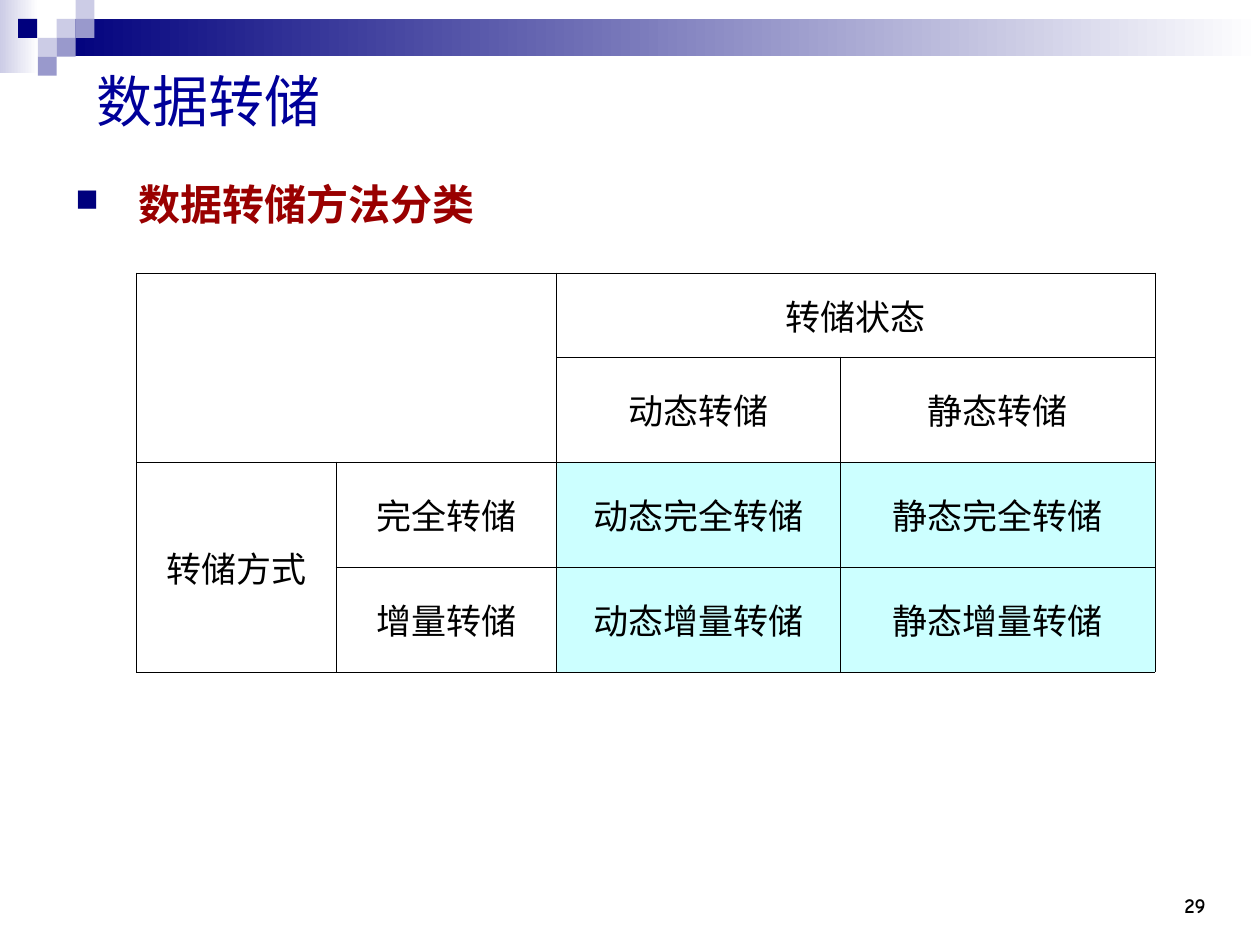
from lxml.etree import SubElement
from pptx import Presentation
from pptx.dml.color import RGBColor
from pptx.enum.shapes import MSO_SHAPE as Shape
from pptx.enum.text import MSO_ANCHOR as Anchor, PP_ALIGN as Align
from pptx.oxml.ns import qn
from pptx.util import Pt

NAVY = RGBColor(0x00, 0x00, 0x7D)
LILAC = RGBColor(0xCC, 0xCC, 0xE6)
VIOLET = RGBColor(0x99, 0x99, 0xCC)
WHITE = RGBColor(0xFF, 0xFF, 0xFF)
BLACK = RGBColor(0x00, 0x00, 0x00)
TITLE_BLUE = RGBColor(0x00, 0x00, 0x99)
DARK_RED = RGBColor(0x99, 0x00, 0x00)
PALE_CYAN = RGBColor(0xCC, 0xFF, 0xFF)
CJK_FONT = "Noto Sans CJK SC"


def write(frame, text, size, color=BLACK, font=CJK_FONT, bold=False,
          align=Align.LEFT, anchor=Anchor.MIDDLE):
    frame.word_wrap = True
    frame.vertical_anchor = anchor
    paragraph = frame.paragraphs[0]
    paragraph.alignment = align
    run = paragraph.add_run()
    run.text = text
    run.font.size = Pt(size)
    run.font.bold = bold
    run.font.color.rgb = color
    run.font.name = font
    SubElement(run._r.get_or_add_rPr(), qn("a:ea"), typeface=CJK_FONT)
    return paragraph


def add_block(left, top, width, height, color, fade=False):
    block = slide.shapes.add_shape(Shape.RECTANGLE, Pt(left), Pt(top), Pt(width), Pt(height))
    block.shadow.inherit = False
    block.line.fill.background()
    if fade:
        block.fill.gradient()
        block.fill.gradient_angle = 0
        for stop, shade in zip(block.fill.gradient_stops, (color, WHITE)):
            stop.color.rgb = shade
    else:
        block.fill.solid()
        block.fill.fore_color.rgb = color


deck = Presentation()
deck.slide_width, deck.slide_height = Pt(720), Pt(540)
slide = deck.slides.add_slide(deck.slide_layouts[5])

add_block(0, 0, 22, 41.6, LILAC, fade=True)
add_block(32.4, 10.8, 687.6, 21.4, NAVY, fade=True)
SQUARE = 10.8
for left, row, color in [
    (32.4, 1, LILAC), (43.2, 0, LILAC), (43.2, 1, VIOLET), (21.6, 2, LILAC),
    (10.4, 1, NAVY), (32.4, 2, VIOLET), (21.6, 3, VIOLET),
]:
    add_block(left, row * SQUARE, SQUARE, SQUARE, color)

page_number = slide.shapes.add_textbox(Pt(636), Pt(492), Pt(60), Pt(36))
write(page_number.text_frame, "29", 12, font="Comic Neue", bold=True,
      align=Align.RIGHT, anchor=Anchor.BOTTOM)

title = slide.shapes.title
title.left, title.top, title.width, title.height = Pt(48), Pt(30), Pt(648), Pt(54)
write(title.text_frame, "数据转储", 32, color=TITLE_BLUE, font="Comic Neue")

heading_box = slide.shapes.add_textbox(Pt(36), Pt(84), Pt(660), Pt(420))
heading = write(heading_box.text_frame, "数据转储方法分类", 24, color=DARK_RED,
                font="DejaVu Sans Mono", bold=True, anchor=Anchor.TOP)
heading_props = heading._p.get_or_add_pPr()
heading_props.set("marL", str(Pt(36)))
heading_props.set("indent", str(-Pt(36)))
bullet_color = SubElement(heading_props, qn("a:buClr"))
SubElement(bullet_color, qn("a:srgbClr"), val=str(NAVY))
SubElement(heading_props, qn("a:buSzPct"), val="75000")
SubElement(heading_props, qn("a:buChar"), char="■")
heading.line_spacing = 1.5

dump_rows = [
    ["", "", "转储状态", ""],
    ["", "", "动态转储", "静态转储"],
    ["转储方式", "完全转储", "动态完全转储", "静态完全转储"],
    ["", "增量转储", "动态增量转储", "静态增量转储"],
]
dump_table = slide.shapes.add_table(4, 4, Pt(78), Pt(156), Pt(582), Pt(228)).table
dump_table.first_row = dump_table.horz_banding = False
for column, width in zip(dump_table.columns, (114, 126, 162, 180)):
    column.width = Pt(width)
for row, height in zip(dump_table.rows, (48, 60, 60, 60)):
    row.height = Pt(height)

for r, texts in enumerate(dump_rows):
    for c, text in enumerate(texts):
        cell = dump_table.cell(r, c)
        cell_props = cell._tc.get_or_add_tcPr()
        for side in ("a:lnL", "a:lnR", "a:lnT", "a:lnB"):
            border = SubElement(cell_props, qn(side), w=str(Pt(0.45)))
            border_fill = SubElement(border, qn("a:solidFill"))
            SubElement(border_fill, qn("a:srgbClr"), val=str(BLACK))
        if r >= 2 and c >= 2:
            cell.fill.solid()
            cell.fill.fore_color.rgb = PALE_CYAN
        else:
            cell.fill.background()
        cell.vertical_anchor = Anchor.MIDDLE
        if text:
            write(cell.text_frame, text, 20, align=Align.CENTER)

for first, last in [((0, 0), (1, 1)), ((0, 2), (0, 3)), ((2, 0), (3, 0))]:
    dump_table.cell(*first).merge(dump_table.cell(*last))

deck.save("out.pptx")
